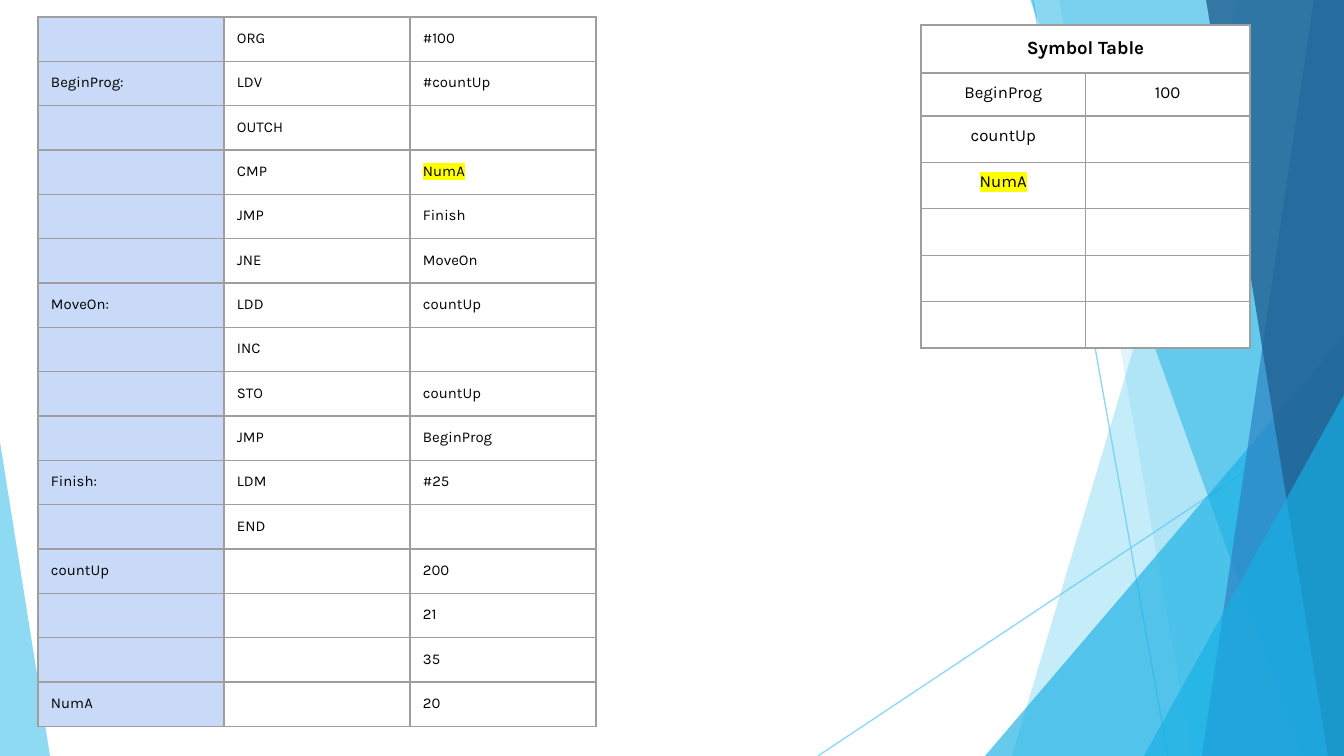
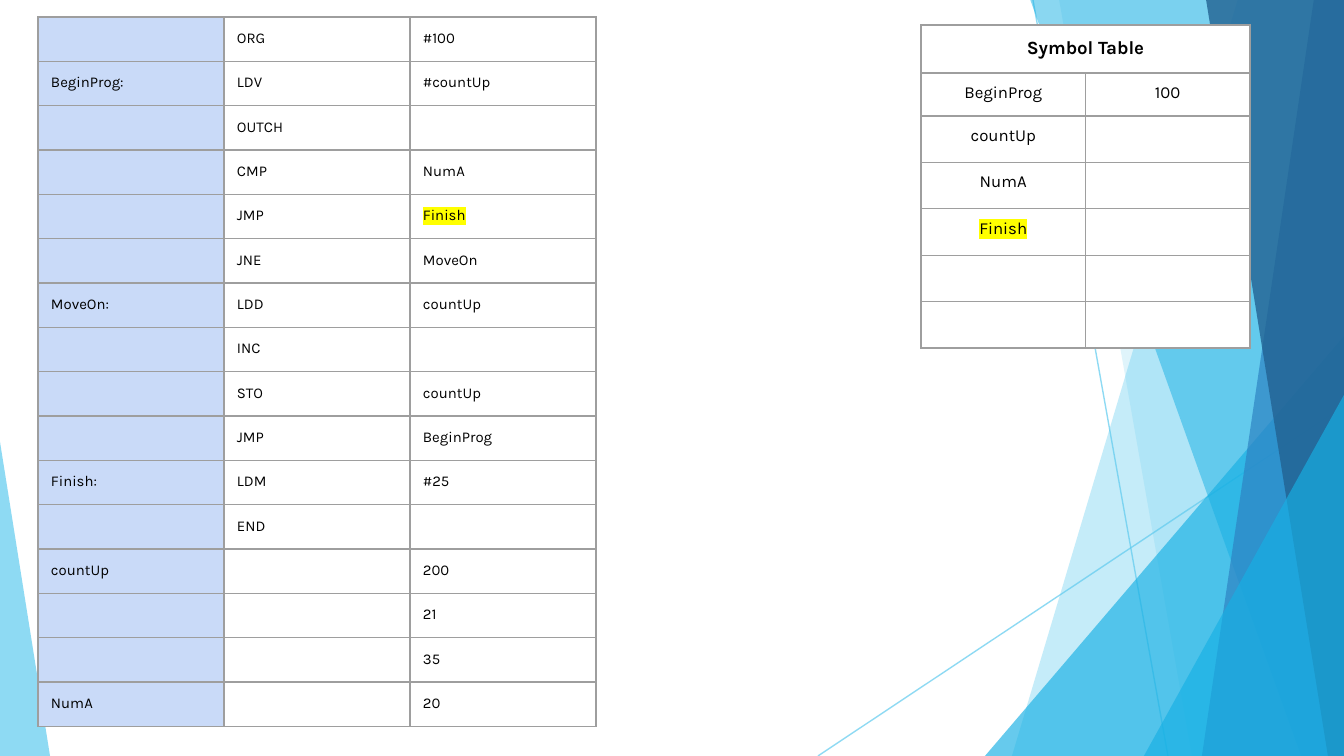
from collections import namedtuple

from lxml.etree import SubElement
from pptx import Presentation
from pptx.dml.color import RGBColor
from pptx.enum.shapes import MSO_CONNECTOR, MSO_SHAPE
from pptx.enum.text import PP_ALIGN
from pptx.oxml.ns import qn
from pptx.util import Pt

Box = namedtuple("Box", "left top width height")

EMU_PER_PX = 914400 / 134.4
SLIDE_WIDTH, SLIDE_HEIGHT = 1344, 756
FONT = "Karla"
CELL_MARGIN = 13

BLACK = RGBColor(0x00, 0x00, 0x00)
WHITE = RGBColor(0xFF, 0xFF, 0xFF)
GRID_GREY = RGBColor(0x9E, 0x9E, 0x9E)
LABEL_BLUE = RGBColor(0xC9, 0xDA, 0xF8)
HIGHLIGHT = RGBColor(0xFF, 0xFF, 0x00)
SKY = RGBColor(0x5F, 0xCB, 0xEF)
CYAN = RGBColor(0x17, 0xB0, 0xE4)
BLUE = RGBColor(0x2E, 0x83, 0xC3)
NAVY = RGBColor(0x22, 0x62, 0x92)

FACET_BOX = Box(818, 0, 526, SLIDE_HEIGHT)
LEFT_WEDGE_BOX = Box(0, 442, 50, 314)
PROGRAM_BOX = Box(38, 17, 558, 709)
SYMBOL_BOX = Box(921, 25, 329, 320)

PROGRAM = [
    ("", "ORG", "#100"),
    ("BeginProg:", "LDV", "#countUp"),
    ("", "OUTCH", ""),
    ("", "CMP", "NumA"),
    ("", "JMP", "Finish"),
    ("", "JNE", "MoveOn"),
    ("MoveOn:", "LDD", "countUp"),
    ("", "INC", ""),
    ("", "STO", "countUp"),
    ("", "JMP", "BeginProg"),
    ("Finish:", "LDM", "#25"),
    ("", "END", ""),
    ("countUp", "", "200"),
    ("", "", "21"),
    ("", "", "35"),
    ("NumA", "", "20"),
]
SYMBOL_ROWS = 6
# Each step: symbols found so far, and the program row being read
STEPS = [
    (["BeginProg", "countUp", "NumA"], 3),
    (["BeginProg", "countUp", "NumA", "Finish"], 4),
]


def px(length):
    return round(length * EMU_PER_PX)


def px_all(*lengths):
    return [px(length) for length in lengths]


# Shapes of the background
def set_alpha(parent, percent):
    color = next(parent.iter(qn("a:srgbClr")))
    SubElement(color, qn("a:alpha")).set("val", str(percent * 1000))


def paint(shape, color, percent):
    shape.shadow.inherit = False
    shape.fill.solid()
    shape.fill.fore_color.rgb = color
    shape.line.fill.background()
    set_alpha(shape._element.spPr, percent)


def add_ray(slide, start, end):
    ray = slide.shapes.add_connector(MSO_CONNECTOR.STRAIGHT, *px_all(*start, *end))
    ray.line.color.rgb = SKY
    ray.line.width = Pt(0.75)
    properties = ray._element.spPr
    set_alpha(properties, 70)
    SubElement(properties, qn("a:effectLst"))


def add_triangle(slide, box, apex, color, percent):
    triangle = slide.shapes.add_shape(MSO_SHAPE.ISOSCELES_TRIANGLE, *px_all(*box))
    triangle.adjustments[0] = apex
    paint(triangle, color, percent)


def add_facets(slide, box):
    left, top, width, height = box
    right, bottom = left + width, top + height

    def add_band(top_x, bottom_x, color, percent):
        builder = slide.shapes.build_freeform(left + top_x, top - 1, scale=EMU_PER_PX)
        builder.add_line_segments(
            [(right, top - 1), (right, bottom), (left + bottom_x, bottom)], close=True)
        paint(builder.convert_to_shape(), color, percent)

    def add_corner(x, y):
        corner = Box(left + x, top + y, width - x, height - y)
        add_triangle(slide, corner, 1, CYAN, 66)

    add_ray(slide, (left + 215, top), (left + 350, bottom))
    add_ray(slide, (right, top + 406), (left, bottom))
    add_band(420, 194, SKY, 36)
    add_band(241, 374, SKY, 20)
    add_corner(167, 336)
    add_band(212, 483, CYAN, 50)
    add_band(496, 384, BLUE, 70)
    add_band(388, 510, NAVY, 80)
    add_corner(326, 395)


# Tables
def add_grid(slide, box, rows, columns):
    table = slide.shapes.add_table(rows, columns, *px_all(*box)).table
    table.first_row = table.horz_banding = False
    return table


def add_cell_borders(cell):
    properties = cell._tc.get_or_add_tcPr()
    for side in ("lnL", "lnR", "lnT", "lnB"):
        line = SubElement(properties, qn(f"a:{side}"), w=str(Pt(0.75)))
        fill = SubElement(line, qn("a:solidFill"))
        SubElement(fill, qn("a:srgbClr"), val=str(GRID_GREY))


def highlight_run(run):
    properties = run._r.get_or_add_rPr()
    highlight = SubElement(properties, qn("a:highlight"))
    SubElement(highlight, qn("a:srgbClr"), val=str(HIGHLIGHT))
    properties.find(qn("a:solidFill")).addnext(highlight)


def fill_cell(cell, text, size, fill=WHITE, bold=False, align=None,
              spacing=None, highlighted=False):
    add_cell_borders(cell)
    cell.fill.solid()
    cell.fill.fore_color.rgb = fill
    cell.margin_left = cell.margin_right = px(CELL_MARGIN)
    cell.margin_top = cell.margin_bottom = px(CELL_MARGIN)
    paragraph = cell.text_frame.paragraphs[0]
    if not text:
        # Keeps an empty cell as low as a filled one
        SubElement(paragraph._p, qn("a:endParaRPr"), sz=str(size * 100))
        return
    paragraph.alignment = align
    paragraph.line_spacing = spacing
    run = paragraph.add_run()
    run.text = text
    run.font.name = FONT
    run.font.size = Pt(size)
    run.font.bold = bold
    run.font.color.rgb = BLACK
    if highlighted:
        highlight_run(run)


def add_program_table(slide, box, current_row):
    table = add_grid(slide, box, len(PROGRAM), 3)
    for row, texts in enumerate(PROGRAM):
        for column, text in enumerate(texts):
            fill_cell(table.cell(row, column), text, 8,
                      fill=WHITE if column else LABEL_BLUE,
                      highlighted=(row, column) == (current_row, 2))


def add_symbol_table(slide, box, symbols):
    table = add_grid(slide, box, SYMBOL_ROWS + 1, 2)
    table.rows[0].height, table.rows[1].height = px_all(48, 43)
    # Header across both columns
    table.cell(0, 0).merge(table.cell(0, 1))
    fill_cell(table.cell(0, 0), "Symbol Table", 10, bold=True, align=PP_ALIGN.CENTER)
    fill_cell(table.cell(0, 1), "", 10)
    # Symbols and their addresses
    addresses = {"BeginProg": "100"}
    names = symbols + [""] * (SYMBOL_ROWS - len(symbols))
    for row, name in enumerate(names, start=1):
        for column, text in enumerate((name, addresses.get(name, ""))):
            fill_cell(table.cell(row, column), text, 9, align=PP_ALIGN.CENTER,
                      spacing=0.8, highlighted=text == symbols[-1])


def add_step_slide(presentation, symbols, current_row):
    slide = presentation.slides.add_slide(presentation.slide_layouts[6])
    add_facets(slide, FACET_BOX)
    add_triangle(slide, LEFT_WEDGE_BOX, 0, SKY, 70)
    add_program_table(slide, PROGRAM_BOX, current_row)
    add_symbol_table(slide, SYMBOL_BOX, symbols)


def main():
    presentation = Presentation()
    presentation.slide_width, presentation.slide_height = px_all(SLIDE_WIDTH, SLIDE_HEIGHT)
    for symbols, current_row in STEPS:
        add_step_slide(presentation, symbols, current_row)
    presentation.save("out.pptx")


if __name__ == "__main__":
    main()
